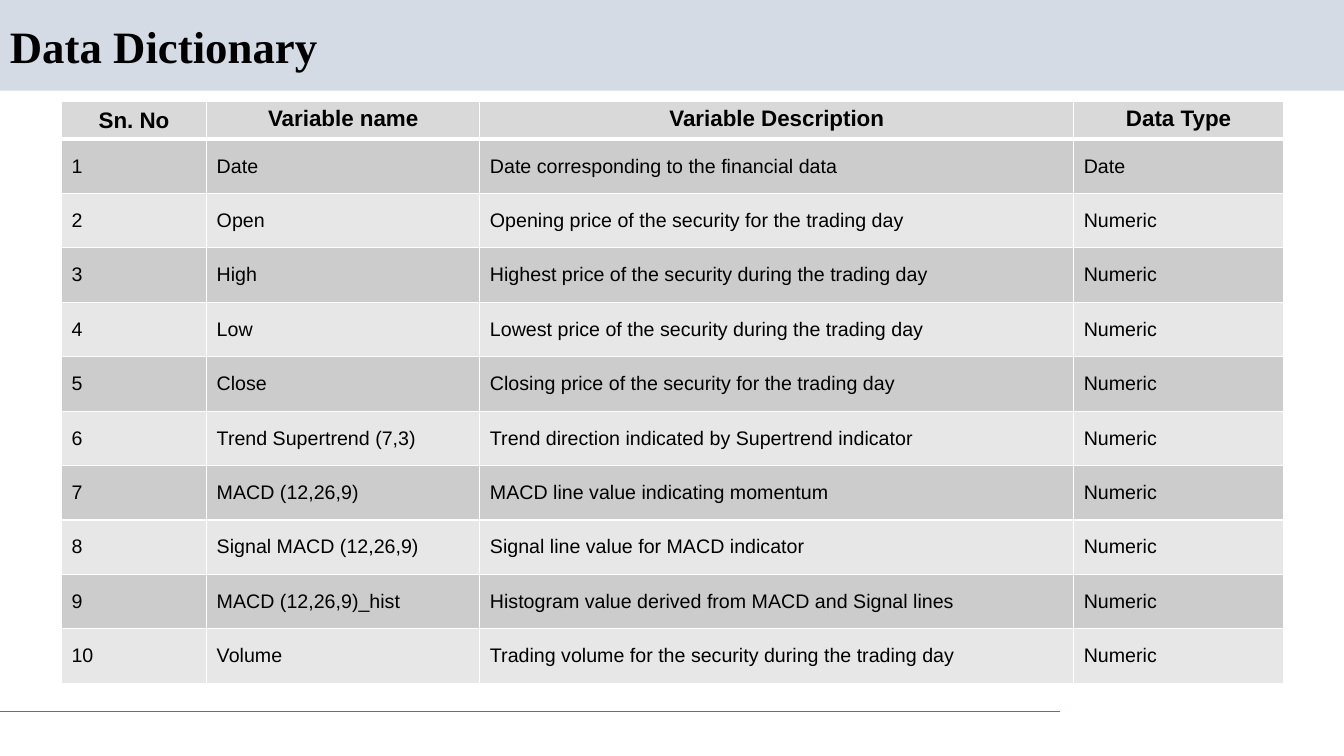
from dataclasses import dataclass
from typing import NamedTuple

from lxml.etree import SubElement
from pptx import Presentation
from pptx.dml.color import RGBColor
from pptx.enum.shapes import MSO_CONNECTOR, MSO_SHAPE
from pptx.enum.text import MSO_ANCHOR, PP_ALIGN
from pptx.oxml import parse_xml
from pptx.oxml.ns import nsdecls, qn
from pptx.slide import Slide
from pptx.table import _Cell
from pptx.text.text import TextFrame
from pptx.util import Emu, Pt


@dataclass(frozen=True)
class Theme:
    ink: str = "000000"
    band: str = "D5DBE5"
    rule: str = "4472C4"
    header: str = "D9D9D9"
    odd_row: str = "CCCCCC"
    even_row: str = "E7E7E7"
    grid: str = "FFFFFF"
    title_font: str = "Times New Roman"
    table_font: str = "Arial"
    title_size: int = 32
    header_size: int = 16
    body_size: int = 14


class Variable(NamedTuple):
    name: str
    description: str
    data_type: str = "Numeric"


class Margins(NamedTuple):
    left: int = 10
    top: int = 5
    right: int = 10
    bottom: int = 5


THEME = Theme()
EMU_PER_PX = 9144
SLIDE_WIDTH, SLIDE_HEIGHT = 1333, 750
COLUMN_WIDTHS = (144, 271, 589, 208)
HEADER_HEIGHT, ROW_HEIGHT = 37, 54
HEADINGS = ("Sn. No", "Variable name", "Variable Description", "Data Type")
HEADING_MARGINS = Margins(1, 1, 1, 5)
VARIABLES = (
    Variable("Date", "Date corresponding to the financial data", "Date"),
    Variable("Open", "Opening price of the security for the trading day"),
    Variable("High", "Highest price of the security during the trading day"),
    Variable("Low", "Lowest price of the security during the trading day"),
    Variable("Close", "Closing price of the security for the trading day"),
    Variable("Trend Supertrend (7,3)", "Trend direction indicated by Supertrend indicator"),
    Variable("MACD (12,26,9)", "MACD line value indicating momentum"),
    Variable("Signal MACD (12,26,9)", "Signal line value for MACD indicator"),
    Variable("MACD (12,26,9)_hist", "Histogram value derived from MACD and Signal lines"),
    Variable("Volume", "Trading volume for the security during the trading day"),
)


def px(length: int) -> Emu:
    return Emu(length * EMU_PER_PX)


def write(frame: TextFrame, text: str, *, font: str, size: int, bold: bool = False,
          align: PP_ALIGN = PP_ALIGN.LEFT, spacing: float = 1.0) -> None:
    paragraph = frame.paragraphs[0]
    paragraph.alignment = align
    paragraph.line_spacing = spacing
    run = paragraph.add_run()
    run.text = text
    run.font.name = font
    run.font.size = Pt(size)
    run.font.bold = bold
    run.font.color.rgb = RGBColor.from_string(THEME.ink)


def draw_title(slide: Slide) -> None:
    band = slide.shapes.add_shape(MSO_SHAPE.RECTANGLE, 0, 0, px(SLIDE_WIDTH), px(90))
    band.shadow.inherit = False
    band.fill.solid()
    band.fill.fore_color.rgb = RGBColor.from_string(THEME.band)
    band.line.fill.background()

    rule = slide.shapes.add_connector(MSO_CONNECTOR.STRAIGHT, 0, px(706), px(1051), px(706))
    rule.line.color.rgb = RGBColor.from_string(THEME.rule)
    rule.line.width = Pt(0.75)
    SubElement(rule._element.spPr, qn("a:effectLst"))

    title = slide.shapes.add_textbox(0, px(19), px(1150), px(59)).text_frame
    title.word_wrap = True
    title.vertical_anchor = MSO_ANCHOR.MIDDLE
    write(title, "Data Dictionary", font=THEME.title_font, size=THEME.title_size,
          bold=True, spacing=0.9)


def style_cell(cell: _Cell, fill: str, margins: Margins, top: int, bottom: int) -> None:
    cell.vertical_anchor = MSO_ANCHOR.MIDDLE
    cell.margin_left, cell.margin_top, cell.margin_right, cell.margin_bottom = map(px, margins)
    cell.fill.solid()
    cell.fill.fore_color.rgb = RGBColor.from_string(fill)
    properties = cell._tc.get_or_add_tcPr()
    for position, (side, width) in enumerate((("L", 1), ("R", 1), ("T", top), ("B", bottom))):
        properties.insert(position, parse_xml(
            f'<a:ln{side} {nsdecls("a")} w="{Pt(width)}"><a:solidFill>'
            f'<a:srgbClr val="{THEME.grid}"/></a:solidFill></a:ln{side}>'))


def draw_dictionary(slide: Slide) -> None:
    rows = [HEADINGS] + [(str(number), *variable) for number, variable in enumerate(VARIABLES, 1)]
    height = HEADER_HEIGHT + ROW_HEIGHT * len(VARIABLES)
    dictionary = slide.shapes.add_table(len(rows), len(HEADINGS), px(61), px(101),
                                        px(sum(COLUMN_WIDTHS)), px(height)).table
    for column, width in zip(dictionary.columns, COLUMN_WIDTHS):
        column.width = px(width)
    for row_number, texts in enumerate(rows):
        heading = row_number == 0
        dictionary.rows[row_number].height = px(HEADER_HEIGHT if heading else ROW_HEIGHT)
        body_fill = THEME.odd_row if row_number % 2 else THEME.even_row
        for column_number, text in enumerate(texts):
            cell = dictionary.cell(row_number, column_number)
            style_cell(cell, THEME.header if heading else body_fill,
                       HEADING_MARGINS if heading and column_number else Margins(),
                       top=3 if row_number == 1 else 1, bottom=3 if heading else 1)
            write(cell.text_frame, text, font=THEME.table_font, bold=heading,
                  size=THEME.header_size if heading else THEME.body_size,
                  align=PP_ALIGN.CENTER if heading else PP_ALIGN.LEFT)


def main() -> None:
    presentation = Presentation()
    presentation.slide_width = px(SLIDE_WIDTH)
    presentation.slide_height = px(SLIDE_HEIGHT)
    slide = presentation.slides.add_slide(presentation.slide_layouts[6])
    draw_title(slide)
    draw_dictionary(slide)
    presentation.save("out.pptx")


if __name__ == "__main__":
    main()
